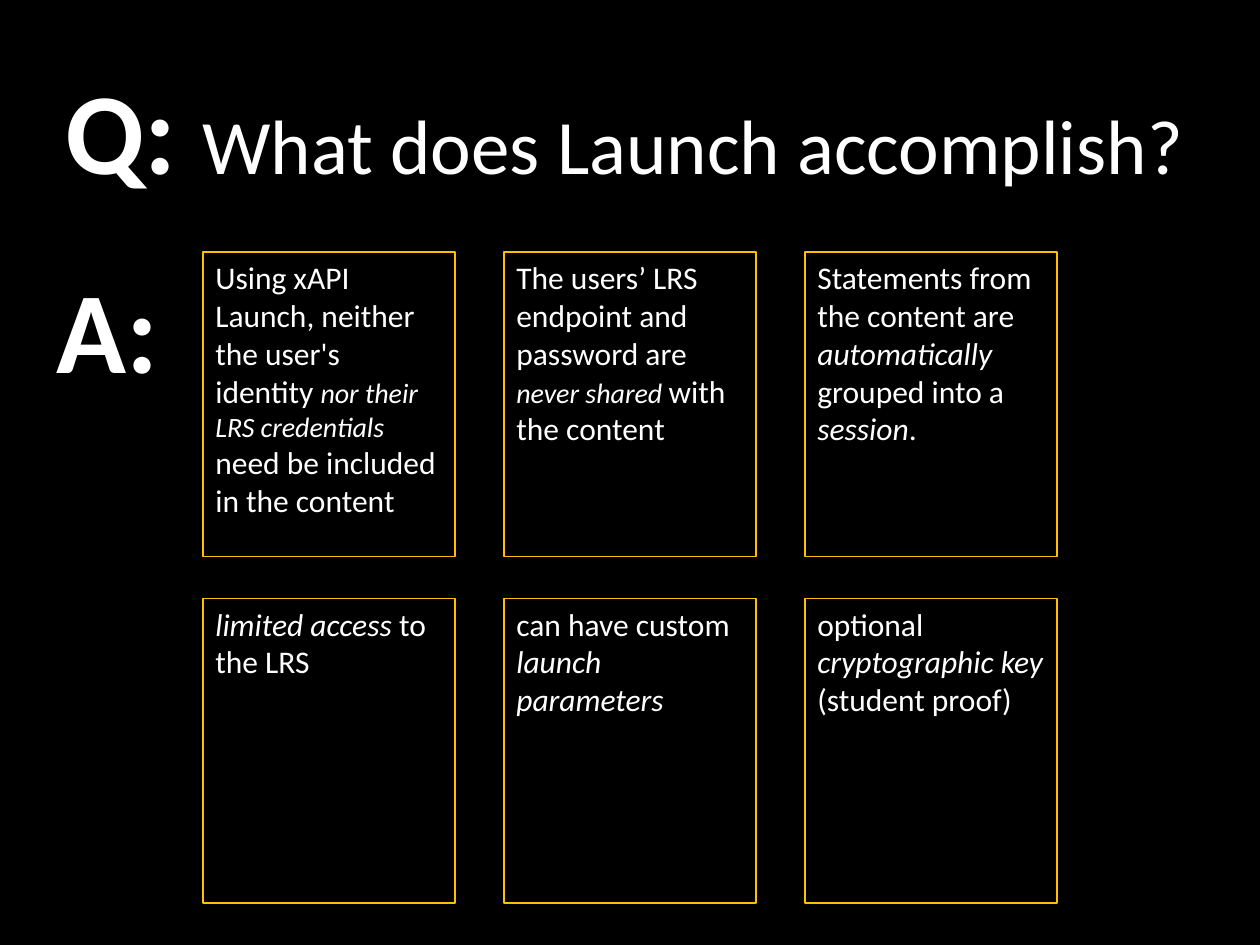
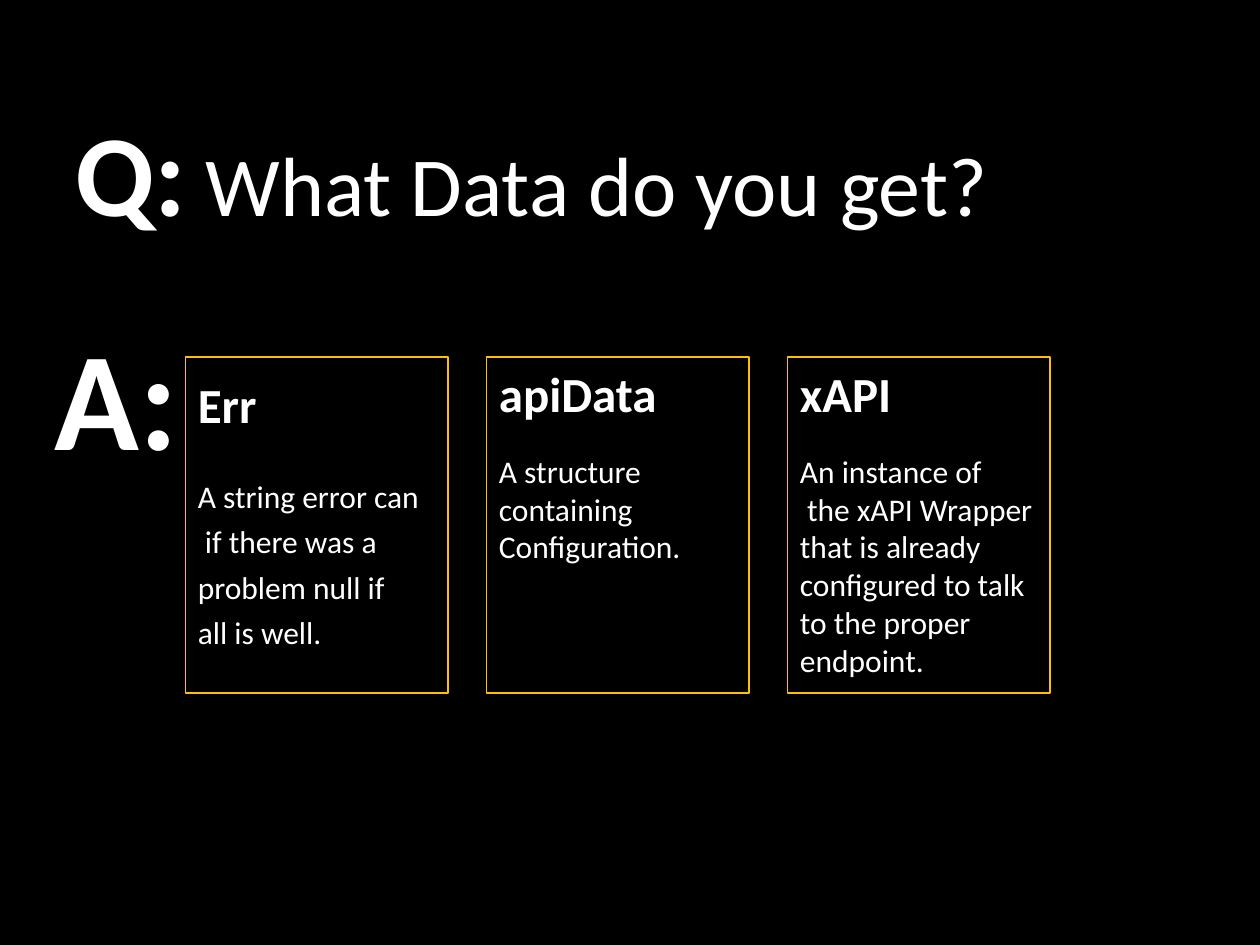
from dataclasses import dataclass
from typing import NamedTuple

from pptx import Presentation
from pptx import util as u
from pptx.dml import color
from pptx.enum import shapes, text

BLACK, WHITE, GOLD = "000000", "FFFFFF", "FFC000"
FONT = "Calibri"
COLS, ROWS = 120, 90
WIDE, HIGH = u.Inches(10), u.Inches(7.5)
PITCH_X, PITCH_Y = 28.67, 33


class Run(NamedTuple):
    words: str
    size: float = 18
    bold: bool = False
    slant: bool = False


class Box(NamedTuple):
    col: float
    row: float
    cols: float
    rows: float

    def step(self, across: int, down: int) -> "Box":
        return self._replace(col=self.col + across * PITCH_X,
                             row=self.row + down * PITCH_Y)

    def place(self) -> tuple[int, int, int, int]:
        return (int(WIDE * self.col / COLS), int(HIGH * self.row / ROWS),
                int(WIDE * self.cols / COLS), int(HIGH * self.rows / ROWS))


@dataclass
class Card:
    lines: list[list[Run]]
    lead: float = 1.0
    gap: float = 0


@dataclass
class Page:
    ask: list[Run]
    ask_box: Box
    mark: Run
    mark_box: Box
    first: Box
    cards: list[Card]


def tint(code: str) -> color.RGBColor:
    return color.RGBColor.from_string(code)


def it(words: str, size: float = 18) -> Run:
    return Run(words, size, slant=True)


def write(frame, lines: list[list[Run]], *, wrap: bool = True,
          lead: float = 1.0, gap: float = 0) -> None:
    frame.auto_size = text.MSO_AUTO_SIZE.NONE
    frame.word_wrap = wrap
    frame.vertical_anchor = text.MSO_ANCHOR.TOP
    for n, runs in enumerate(lines):
        para = frame.add_paragraph() if n else frame.paragraphs[0]
        para.alignment = text.PP_ALIGN.LEFT
        para.line_spacing = lead
        if n == 0 and gap:
            para.space_after = u.Pt(gap)
        for part in runs:
            run = para.add_run()
            run.text = part.words
            font = run.font
            font.name, font.size = FONT, u.Pt(part.size)
            font.bold, font.italic = part.bold, part.slant
            font.color.rgb = tint(WHITE)


def draw_card(slide, card: Card, box: Box) -> None:
    shape = slide.shapes.add_shape(shapes.MSO_SHAPE.RECTANGLE, *box.place())
    shape.shadow.inherit = False
    shape.fill.background()
    shape.line.color.rgb = tint(GOLD)
    shape.line.width = u.Pt(0.75)
    write(shape.text_frame, card.lines, lead=card.lead, gap=card.gap)


def draw_page(deck, page: Page) -> None:
    slide = deck.slides.add_slide(deck.slide_layouts[5])
    title = slide.shapes.title
    title.left, title.top, title.width, title.height = page.ask_box.place()
    write(title.text_frame, [page.ask])
    mark = slide.shapes.add_textbox(*page.mark_box.place())
    write(mark.text_frame, [[page.mark]], wrap=False)
    for n, card in enumerate(page.cards):
        draw_card(slide, card, page.first.step(n % 3, n // 3))


def topic(name: str, *lines: str, lead: float = 1.0) -> Card:
    body = [[Run(line)] for line in lines]
    return Card([[Run(name, 28, True)], *body], lead, 17 * lead)


PAGES = [
    Page(
        [Run("Q: ", 66, True), Run("What does Launch accomplish?", 44)],
        Box(5, 5, 111, 14.5),
        Run("A:", 66, True),
        Box(4.2, 24, 12.2, 14.5),
        Box(19.33, 24, 24, 29),
        [
            Card([[Run("Using xAPI Launch, neither the user's identity "),
                   it("nor their LRS credentials ", 16),
                   Run("need be included in the content")]]),
            Card([[Run("The users’ LRS endpoint and password are "),
                   it("never shared ", 16), Run("with the content")]]),
            Card([[Run("Statements from the content are "),
                   it("automatically "), Run("grouped into a "),
                   it("session"), Run(".")]]),
            Card([[it("limited access "), Run("to the LRS")]]),
            Card([[Run("can have custom "), it("launch parameters")]]),
            Card([[Run("optional "), it("cryptographic key "),
                   Run("(student proof)")]]),
        ],
    ),
    Page(
        [Run("Q:", 66, True), Run(" What Data do you get?", 48)],
        Box(6, 9, 109, 14.5),
        Run("A:", 80, True),
        Box(4, 29, 14.2, 17.4),
        Box(17.67, 34, 25, 32),
        [
            topic("Err", "A string error can",
                  " if there was a problem null if", "all is well.",
                  lead=1.2),
            topic("apiData", "A structure containing", "Configuration."),
            topic("xAPI", "An instance of",
                  " the xAPI Wrapper that is already configured to talk "
                  "to the proper endpoint."),
        ],
    ),
]


def main() -> None:
    deck = Presentation()
    deck.slide_width, deck.slide_height = WIDE, HIGH
    fill = deck.slide_master.background.fill
    fill.solid()
    fill.fore_color.rgb = tint(BLACK)
    for page in PAGES:
        draw_page(deck, page)
    deck.save("out.pptx")


if __name__ == "__main__":
    main()
